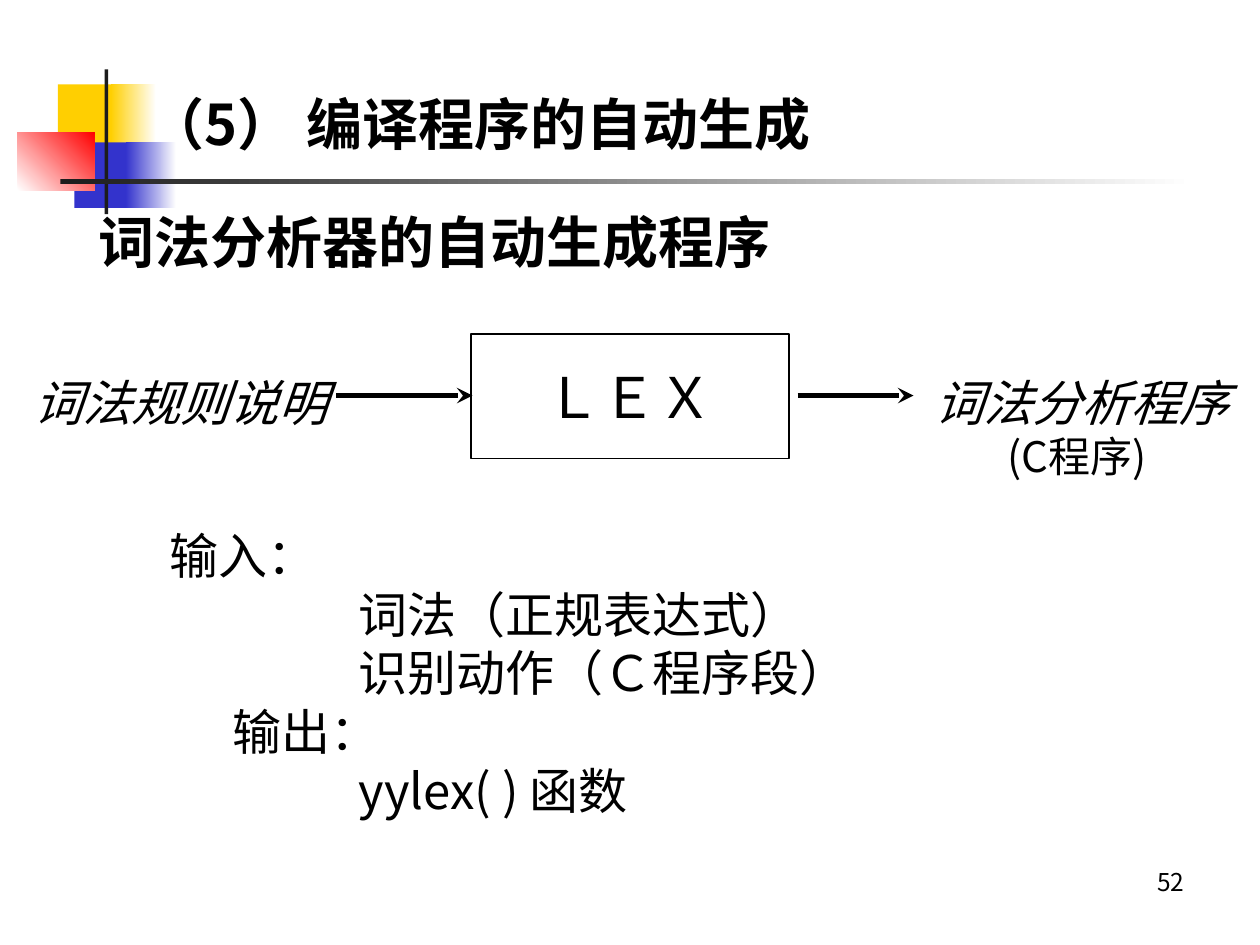
from dataclasses import dataclass
from typing import Optional

from lxml import etree
from pptx import Presentation
from pptx.dml.color import RGBColor
from pptx.enum import shapes, text
from pptx.oxml import ns
from pptx.util import Inches, Pt

FONT = "Noto Sans CJK SC"
BLACK = RGBColor(0x00, 0x00, 0x00)
WHITE = RGBColor(0xFF, 0xFF, 0xFF)
YELLOW = RGBColor(0xFF, 0xCF, 0x01)
BLUE = RGBColor(0x33, 0x33, 0xCC)
RED = RGBColor(0xFF, 0x00, 0x00)
CHARCOAL = RGBColor(0x1C, 0x1C, 0x1C)


@dataclass
class Block:
    left: float
    top: float
    width: float
    height: float
    color: RGBColor
    fade_to: Optional[RGBColor] = None
    angle: float = 0


@dataclass
class Line:
    words: str
    indent: float = 0


@dataclass
class Label:
    left: float
    top: float
    width: float
    height: float
    lines: list[Line]
    size: int
    bold: bool = False
    italic: bool = False
    align: text.PP_ALIGN = text.PP_ALIGN.LEFT
    anchor: text.MSO_ANCHOR = text.MSO_ANCHOR.TOP


@dataclass
class Arrow:
    start: float
    end: float
    y: float


def add_rectangle(slide, left: float, top: float, width: float, height: float):
    rectangle = slide.shapes.add_shape(
        shapes.MSO_SHAPE.RECTANGLE,
        Inches(left), Inches(top), Inches(width), Inches(height))
    rectangle.shadow.inherit = False
    return rectangle


def draw_block(slide, block: Block) -> None:
    rectangle = add_rectangle(slide, block.left, block.top, block.width, block.height)
    rectangle.line.fill.background()
    if block.fade_to is None:
        rectangle.fill.solid()
        rectangle.fill.fore_color.rgb = block.color
        return
    rectangle.fill.gradient()
    rectangle.fill.gradient_angle = block.angle
    for stop, color in zip(rectangle.fill.gradient_stops, (block.color, block.fade_to)):
        stop.color.rgb = color


def write_lines(frame, label: Label) -> None:
    frame.vertical_anchor = label.anchor
    frame.text = "\n".join(line.words for line in label.lines)
    for paragraph, line in zip(frame.paragraphs, label.lines):
        paragraph.alignment = label.align
        if line.indent:
            paragraph._p.get_or_add_pPr().set("marL", str(Inches(line.indent)))
        for run in paragraph.runs:
            run.font.name = FONT
            run.font.size = Pt(label.size)
            run.font.bold = label.bold
            run.font.italic = label.italic
            run.font.color.rgb = BLACK
            east_asian = etree.SubElement(run._r.get_or_add_rPr(), ns.qn("a:ea"))
            east_asian.set("typeface", FONT)


def draw_label(slide, label: Label) -> None:
    box = slide.shapes.add_textbox(
        Inches(label.left), Inches(label.top), Inches(label.width), Inches(label.height))
    box.text_frame.word_wrap = True
    write_lines(box.text_frame, label)


def draw_process(slide, label: Label) -> None:
    process = add_rectangle(slide, label.left, label.top, label.width, label.height)
    process.fill.background()
    process.line.color.rgb = BLACK
    process.line.width = Pt(1)
    process.text_frame.word_wrap = False
    write_lines(process.text_frame, label)


def draw_arrow(slide, arrow: Arrow) -> None:
    connector = slide.shapes.add_connector(
        shapes.MSO_CONNECTOR.STRAIGHT,
        Inches(arrow.start), Inches(arrow.y), Inches(arrow.end), Inches(arrow.y))
    connector.line.color.rgb = BLACK
    connector.line.width = Pt(3)
    head = etree.SubElement(connector.line._get_or_add_ln(), ns.qn("a:tailEnd"))
    head.set("type", "stealth")
    etree.SubElement(connector._element.spPr, ns.qn("a:effectLst"))


# Corner ornament with the rule under the title
ORNAMENT = [
    Block(0.46, 0.67, 0.48, 0.52, YELLOW),
    Block(0.88, 0.67, 0.36, 0.52, YELLOW, WHITE),
    Block(0.59, 1.13, 0.46, 0.52, BLUE),
    Block(1, 1.13, 0.4, 0.52, BLUE, WHITE),
    Block(0.14, 1.05, 0.61, 0.46, WHITE, RED, angle=45),
    Block(0.83, 0.55, 0.03, 1.15, CHARCOAL),
    Block(0.48, 1.42, 9, 0.04, CHARCOAL, WHITE),
]

# Page number and headings
HEADINGS = [
    Label(7.17, 6.83, 2.33, 0.52, [Line("52")], 14, align=text.PP_ALIGN.RIGHT),
    Label(1.08, 0.63, 7.7, 0.69, [Line("（5） 编译程序的自动生成")], 32,
          bold=True, anchor=text.MSO_ANCHOR.MIDDLE),
    Label(0.68, 1.6, 7.16, 0.75, [Line("词法分析器的自动生成程序")], 32, bold=True),
]

# Flow from rules through LEX to the analyser
LEX = Label(3.74, 2.65, 2.52, 0.99, [Line("ＬＥＸ")], 32,
            align=text.PP_ALIGN.CENTER, anchor=text.MSO_ANCHOR.MIDDLE)
ARROWS = [Arrow(6.33, 7.25, 3.14), Arrow(2.67, 3.75, 3.14)]
FLOW_LABELS = [
    Label(0.17, 2.91, 3.44, 0.57, [Line("词法规则说明")], 28, italic=True),
    Label(7.32, 2.91, 2.68, 0.57, [Line("词法分析程序")], 28, italic=True),
    Label(7.9, 3.37, 1.67, 0.5, [Line("(C程序)")], 24),
]

# Inputs and outputs of LEX
DETAILS = Label(1.25, 4.12, 6.02, 2.44, [
    Line("输入："),
    Line("词法（正规表达式）", 1.5),
    Line("识别动作（Ｃ程序段）", 1.5),
    Line("输出：", 0.5),
    Line("yylex( ) 函数", 1.5),
], 28)


def main() -> None:
    deck = Presentation()
    deck.slide_width, deck.slide_height = Inches(10), Inches(7.5)
    slide = deck.slides.add_slide(deck.slide_layouts[6])

    for block in ORNAMENT:
        draw_block(slide, block)
    for heading in HEADINGS:
        draw_label(slide, heading)
    draw_process(slide, LEX)
    for arrow in ARROWS:
        draw_arrow(slide, arrow)
    for label in [*FLOW_LABELS, DETAILS]:
        draw_label(slide, label)

    deck.save("out.pptx")


if __name__ == "__main__":
    main()
